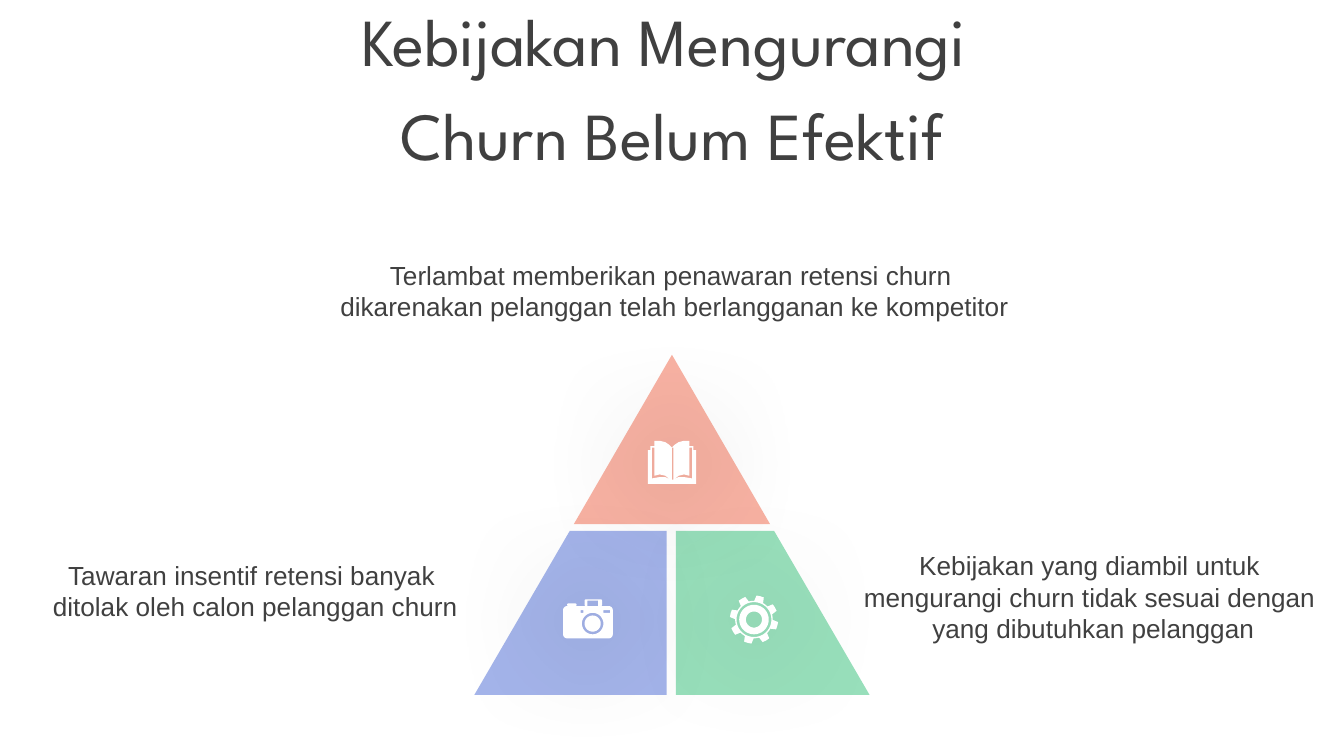
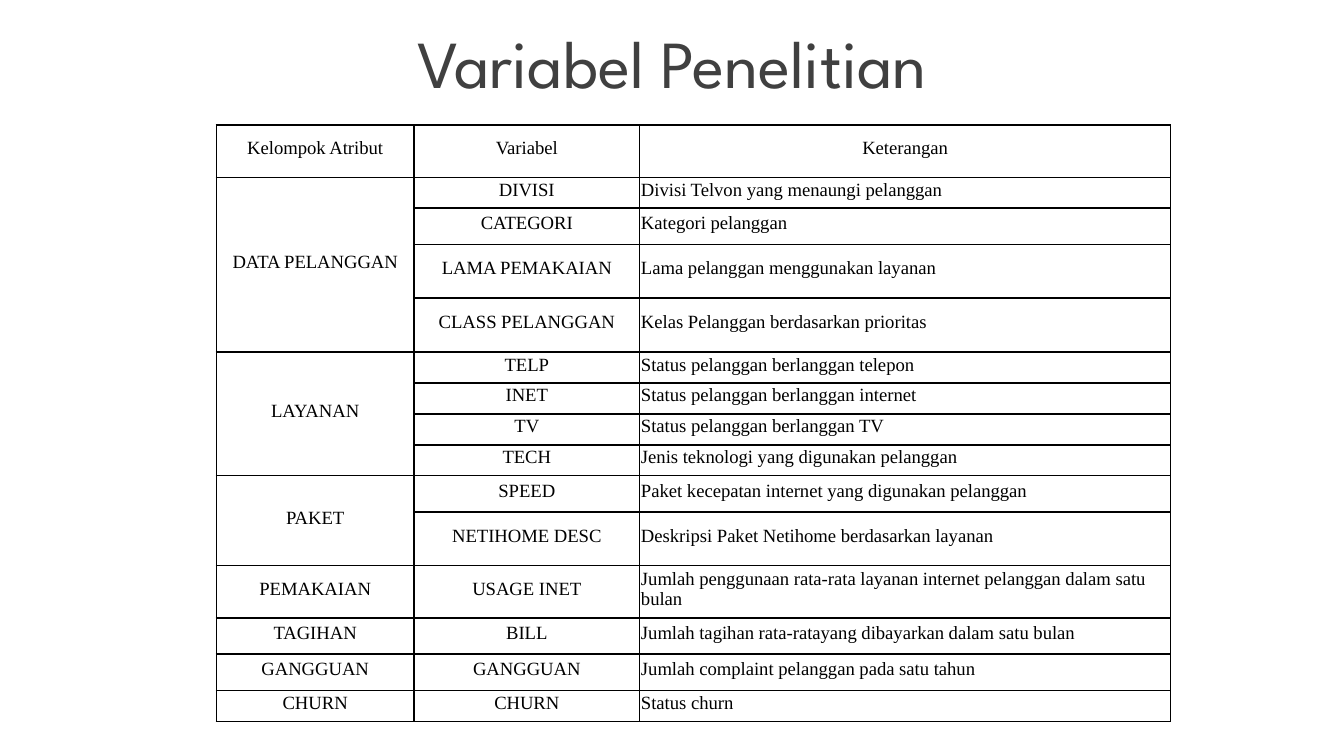
"""Build two slides on churn policy and research variables."""
from math import cos, pi, sin

from lxml.etree import SubElement
from pptx import Presentation
from pptx.dml.color import RGBColor as RGB
from pptx.enum.text import MSO_ANCHOR as Anchor, MSO_AUTO_SIZE as Auto, PP_ALIGN as Align
from pptx.oxml.ns import qn
from pptx.util import Inches, Pt

INK = RGB(0x40, 0x40, 0x40)
BLACK = RGB(0, 0, 0)
WHITE = RGB(0xFF, 0xFF, 0xFF)
CORAL = RGB(0xF8, 0xB2, 0xA3)
GREEN = RGB(0x98, 0xDF, 0xBB)
BLUE = RGB(0xA4, 0xB4, 0xEA)

HEAD = ("Kelompok Atribut", "Variabel", "Keterangan")
GROUPS = [
    ("DATA PELANGGAN", [
        ("DIVISI", "Divisi Telvon yang menaungi pelanggan", 0.23),
        ("CATEGORI", "Kategori pelanggan", 0.27),
        ("LAMA PEMAKAIAN", "Lama pelanggan menggunakan layanan", 0.4),
        ("CLASS PELANGGAN", "Kelas Pelanggan berdasarkan prioritas", 0.4)]),
    ("LAYANAN", [
        ("TELP", "Status pelanggan berlanggan telepon", 0.23),
        ("INET", "Status pelanggan berlanggan internet", 0.23),
        ("TV", "Status pelanggan berlanggan TV", 0.23),
        ("TECH", "Jenis teknologi yang digunakan pelanggan", 0.23)]),
    ("PAKET", [
        ("SPEED", "Paket kecepatan internet yang digunakan pelanggan", 0.27),
        ("NETIHOME DESC", "Deskripsi Paket Netihome berdasarkan layanan", 0.4)]),
    ("PEMAKAIAN", [
        ("USAGE INET",
         "Jumlah penggunaan rata-rata layanan internet pelanggan dalam satu bulan", 0.39)]),
    ("TAGIHAN", [
        ("BILL", "Jumlah tagihan rata-ratayang dibayarkan dalam satu bulan", 0.27)]),
    ("GANGGUAN", [("GANGGUAN", "Jumlah complaint pelanggan pada satu tahun", 0.27)]),
    ("CHURN", [("CHURN", "Status churn", 0.23)]),
]


def write(frame, text, size=14, font="Arial", color=INK, align=Align.CENTER, before=0):
    for i, line in enumerate(text.split("\n")):
        para = frame.paragraphs[0] if i == 0 else frame.add_paragraph()
        para.alignment = align
        para.space_before = Pt(before)
        run = para.add_run()
        run.text = line
        run.font.size = Pt(size)
        run.font.name = font
        run.font.color.rgb = color


def place(shape, box):
    shape.left, shape.top, shape.width, shape.height = map(Inches, box)


def arc(x, y, r, start=0, end=360, steps=36):
    turns = [(start + (end - start) * i / steps) * pi / 180 for i in range(steps + 1)]
    return [(x + r * cos(t), y + r * sin(t)) for t in turns]


def rect(x, y, w, h):
    return [(x, y), (x + w, y), (x + w, y + h), (x, y + h)]


def round_rect(x, y, w, h, r):
    spots = [(x + r, y + r), (x + w - r, y + r), (x + w - r, y + h - r), (x + r, y + h - r)]
    return [p for i, (cx, cy) in enumerate(spots)
            for p in arc(cx, cy, r, 180 + 90 * i, 270 + 90 * i, 6)]


def flip(points):
    return [(10 - x, y) for x, y in reversed(points)]


def book():
    edge = [(4.82, 3.6), (4.82, 3.35), (4.84, 3.35), (4.84, 3.32), (4.87, 3.32),
            (4.87, 3.28), (4.91, 3.28), (4.95, 3.29), (4.98, 3.31), (5, 3.33)]
    slit = [(4.85, 3.33), (4.87, 3.33), (4.87, 3.54), (4.91, 3.53), (4.95, 3.54),
            (4.99, 3.57), (4.95, 3.55), (4.91, 3.55), (4.85, 3.56)]
    return [edge + flip(edge), slit, flip(slit), rect(5, 3.33, 0.01, 0.24)]


def gear(x=5.61, y=4.61, teeth=8):
    rim = []
    step = 360 / teeth
    for i in range(teeth):
        mid = 15 + i * step
        rim += arc(x, y, 0.18, mid - 9, mid + 9, 2)
        rim += arc(x, y, 0.14, mid + 14, mid + step - 14, 4)
    return [rim] + [arc(x, y, r) for r in (0.13, 0.11, 0.06)]


def camera():
    body = round_rect(4.19, 4.51, 0.37, 0.24, 0.03)
    top = round_rect(4.35, 4.46, 0.13, 0.05, 0.01)
    knob = round_rect(4.22, 4.49, 0.07, 0.02, 0.01)
    return [body, top, knob, rect(4.37, 4.47, 0.08, 0.04), rect(4.32, 4.54, 0.02, 0.02),
            rect(4.49, 4.54, 0.05, 0.02), arc(4.41, 4.64, 0.08), arc(4.41, 4.64, 0.06)]


class Deck:
    def __init__(self):
        self.prs = Presentation()
        self.prs.slide_width = Inches(10)
        self.prs.slide_height = Inches(10) * 9 // 16

    def slide(self, title, top):
        self.page = self.prs.slides.add_slide(self.prs.slide_layouts[5])
        shape = self.page.shapes.title
        place(shape, (0, top, 10, 0.63))
        frame = shape.text_frame
        frame.auto_size = Auto.NONE
        frame.vertical_anchor = Anchor.MIDDLE
        write(frame, title, size=36, font="League Spartan", before=7.2)

    def label(self, text, box):
        shape = self.page.shapes.add_textbox(*map(Inches, box))
        shape.text_frame.word_wrap = True
        write(shape.text_frame, text)

    def free(self, loops, color, glow=False):
        loops = [[(Inches(x), Inches(y)) for x, y in loop] for loop in loops]
        pen = self.page.shapes.build_freeform(*loops[0][0])
        for i, loop in enumerate(loops):
            if i:
                pen.move_to(*loop[0])
            pen.add_line_segments(loop[1:], close=True)
        shape = pen.convert_to_shape()
        shape.fill.solid()
        shape.fill.fore_color.rgb = color
        shape.line.fill.background()
        shape.shadow.inherit = False
        if glow:
            effects = shape.element.spPr.find(qn("a:effectLst"))
            shade = SubElement(effects, qn("a:outerShdw"), blurRad=str(Pt(63)), algn="ctr")
            tint = SubElement(shade, qn("a:srgbClr"), val=str(BLACK))
            SubElement(tint, qn("a:alpha"), val="40000")

    def cell(self, cell, text, align=Align.CENTER):
        cell.fill.background()
        cell.vertical_anchor = Anchor.MIDDLE
        cell.margin_left = cell.margin_right = cell.margin_top = Inches(0.01)
        cell.margin_bottom = Inches(0.05)
        if text:
            write(cell.text_frame, text, size=10, font="Times New Roman",
                  color=BLACK, align=align)
        props = cell._tc.get_or_add_tcPr()
        for i, side in enumerate("LRTB"):
            line = SubElement(props, qn("a:ln" + side), w=str(Pt(1)))
            fill = SubElement(line, qn("a:solidFill"))
            SubElement(fill, qn("a:srgbClr"), val=str(BLACK))
            props.insert(i, line)

    def table(self, head, groups, box, widths):
        rows = [(*head, 0.39)]
        spans = []
        for name, items in groups:
            spans.append((len(rows), len(items)))
            rows += [(name if i == 0 else "", *item) for i, item in enumerate(items)]
        grid = self.page.shapes.add_table(len(rows), len(head), *map(Inches, box)).table
        grid.first_row = grid.horz_banding = False
        for col, width in zip(grid.columns, widths):
            col.width = Inches(width)
        for r, (*texts, height) in enumerate(rows):
            grid.rows[r].height = Inches(height)
            for c, text in enumerate(texts):
                align = Align.LEFT if r and c == 2 else Align.CENTER
                self.cell(grid.cell(r, c), text, align)
        for start, count in spans:
            if count > 1:
                grid.cell(start, 0).merge(grid.cell(start + count - 1, 0))


def main():
    deck = Deck()
    deck.slide("Kebijakan Mengurangi \nChurn Belum Efektif", 0.33)
    deck.free([[(5, 2.64), (5.73, 3.9), (4.27, 3.9)]], CORAL)
    deck.free([[(5.03, 3.95), (5.76, 3.95), (6.47, 5.17), (5.03, 5.17)]], GREEN)
    deck.free([[(4.24, 3.95), (4.96, 3.95), (4.96, 5.17), (3.53, 5.17)]], BLUE)
    for icon in (book, gear, camera):
        deck.free(icon(), WHITE, glow=True)
    deck.label("Tawaran insentif retensi banyak \nditolak oleh calon pelanggan churn",
               (0.27, 4.11, 3.26, 0.57))
    deck.label("Terlambat memberikan penawaran retensi churn \n"
               "dikarenakan pelanggan telah berlangganan ke kompetitor",
               (2.42, 1.88, 5.2, 0.57))
    deck.label("Kebijakan yang diambil untuk \nmengurangi churn tidak sesuai dengan \n"
               "yang dibutuhkan pelanggan", (6.31, 4.04, 3.65, 0.81))

    deck.slide("Variabel Penelitian", 0.14)
    deck.table(HEAD, GROUPS, (1.61, 0.93, 7.1, 4.45), (1.47, 1.68, 3.95))
    deck.prs.save("out.pptx")


if __name__ == "__main__":
    main()
